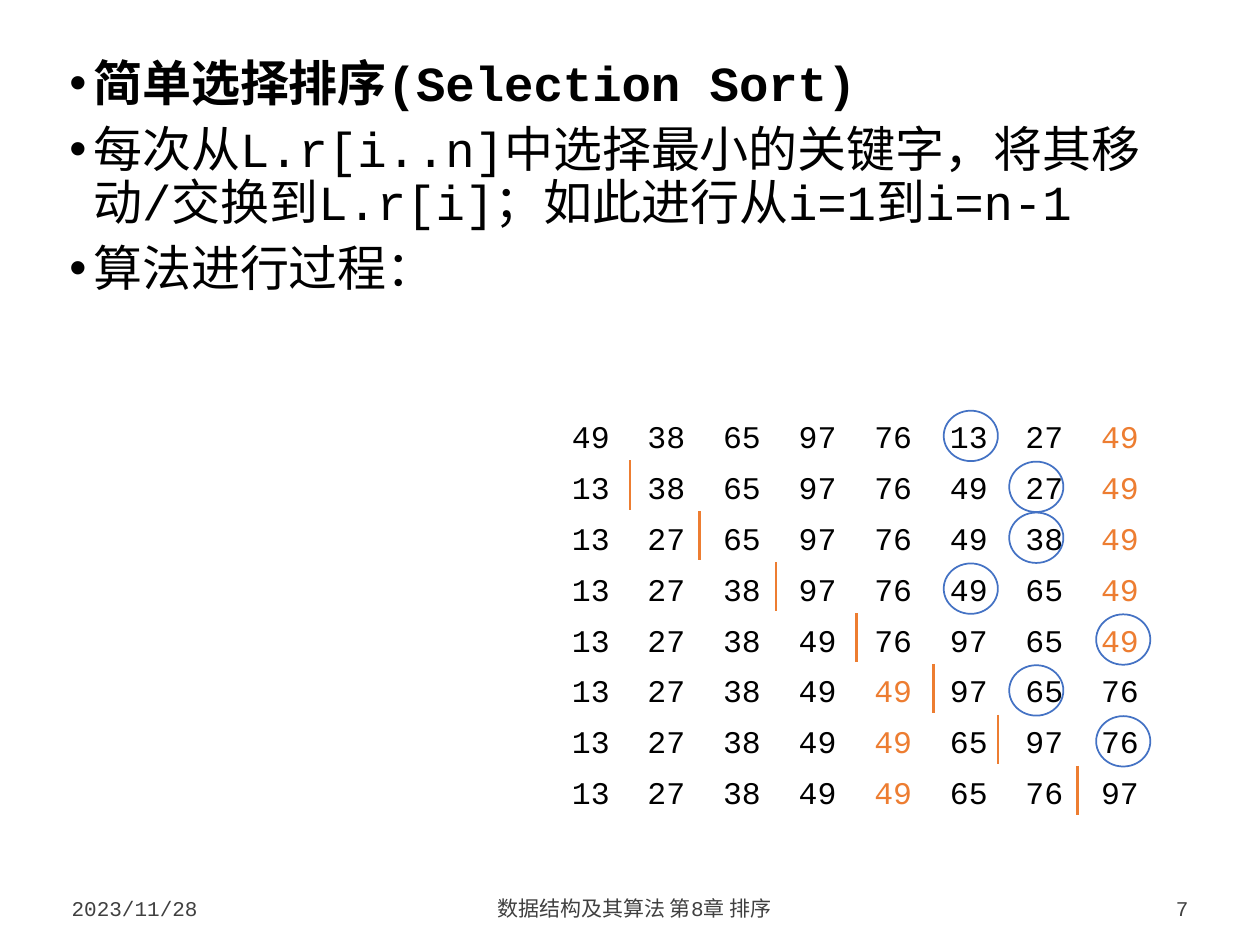
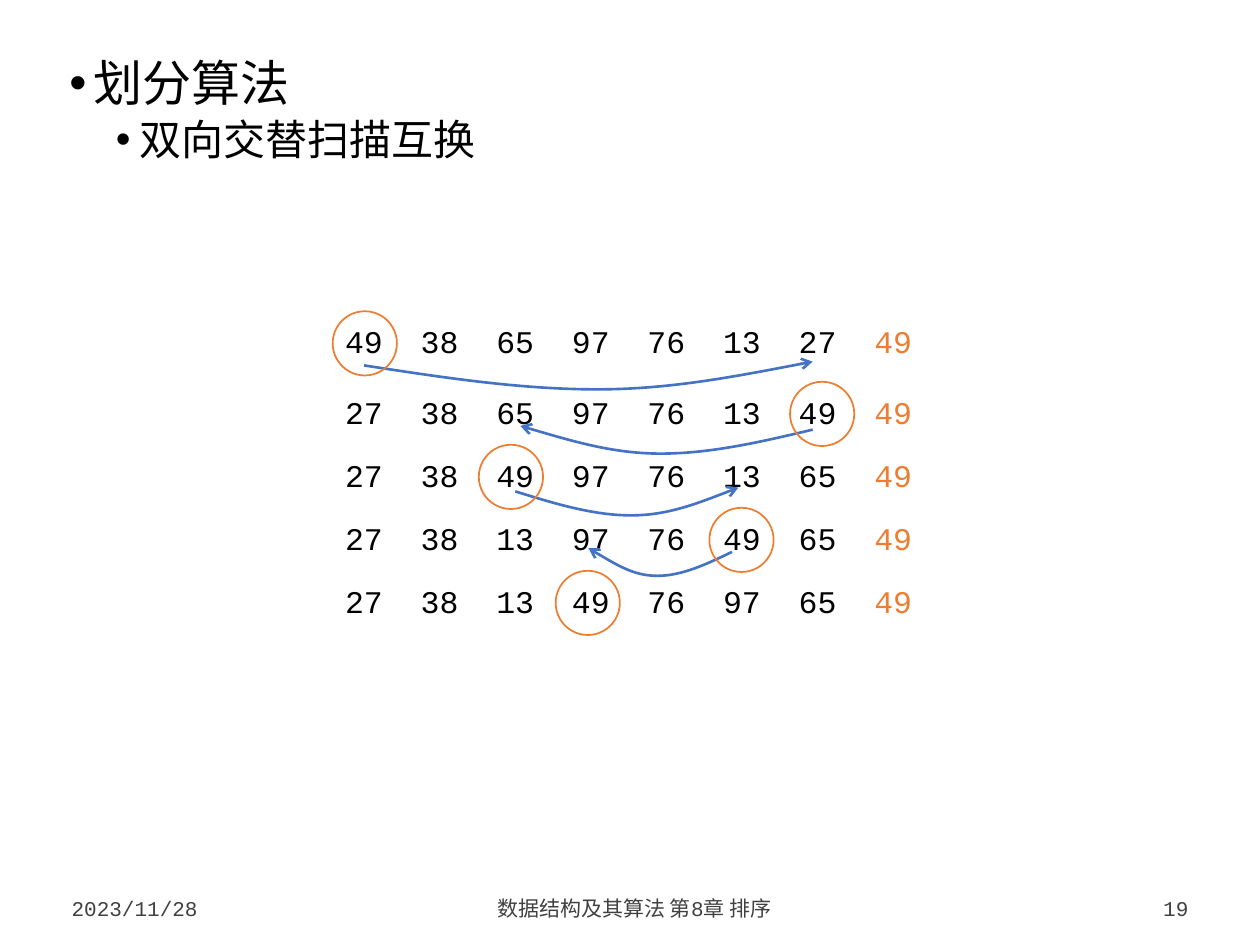
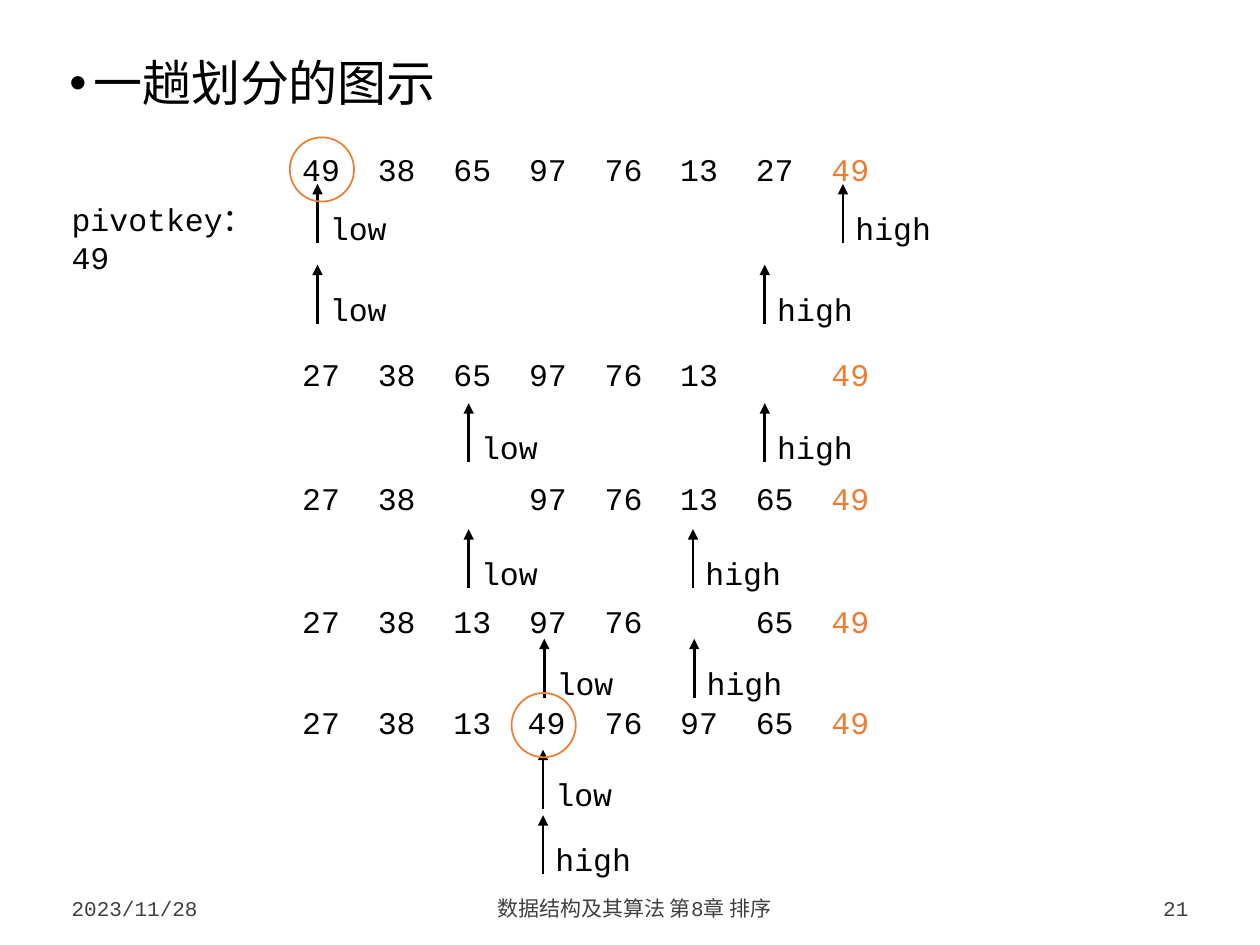
from dataclasses import dataclass

from lxml import etree
from pptx import Presentation
from pptx import util as u
from pptx.dml import color
from pptx.enum import shapes, text
from pptx.oxml import ns


@dataclass(frozen=True)
class Theme:
    font: str = "Courier New"
    black: color.RGBColor = color.RGBColor(0, 0, 0)
    gray: color.RGBColor = color.RGBColor(0x40, 0x40, 0x40)
    blue: color.RGBColor = color.RGBColor(0x44, 0x72, 0xC4)
    orange: color.RGBColor = color.RGBColor(0xED, 0x7D, 0x31)
    body_sizes: tuple = (28, 24)
    body_gaps: tuple = (7.5, 3.8)
    number_size: int = 18
    footer_size: int = 12
    stroke: float = 1.5
    ring_stroke: float = 1


THEME = Theme()
MARGIN = 0.47
BODY_WIDTH = 9.06
COLUMN = 0.6
ROW_WIDTH = 4.72
LINE_HEIGHT = 0.4
RING = 0.51
LAST = 7


def place(shape, left, top, width, height):
    shape.left, shape.top = u.Inches(left), u.Inches(top)
    shape.width, shape.height = u.Inches(width), u.Inches(height)


def style_font(font, size, rgb=THEME.black, bold=False):
    font.name = THEME.font
    font.size = u.Pt(size)
    font.bold = bold
    font.color.rgb = rgb


def add_child(parent, tag, **attributes):
    return etree.SubElement(parent, ns.qn(tag), attributes)


def add_body(slide, items):
    body = slide.placeholders[1]
    place(body, MARGIN, 0.39, BODY_WIDTH, 6.42)
    frame = body.text_frame
    frame.auto_size = text.MSO_AUTO_SIZE.NONE
    frame.vertical_anchor = text.MSO_ANCHOR.TOP
    frame.margin_left = frame.margin_right = u.Inches(0.08)
    frame.margin_top = frame.margin_bottom = u.Inches(0.08)
    frame.text = "\n".join(words for words, level, bold in items)
    for index, (paragraph, (words, level, bold)) in enumerate(zip(frame.paragraphs, items)):
        paragraph.level = level
        properties = paragraph._p.get_or_add_pPr()
        properties.set("marL", str(u.Inches(0.19 + 0.37 * level)))
        properties.set("indent", str(u.Inches(-0.19)))
        add_child(properties, "a:buFont", typeface="Arial")
        add_child(properties, "a:buChar", char="•")
        paragraph.line_spacing = 0.9
        paragraph.space_before = u.Pt(THEME.body_gaps[level] if index else 0)
        for run in paragraph.runs:
            style_font(run.font, THEME.body_sizes[level], bold=bold)


def add_text(canvas, words, left, top, width, height=LINE_HEIGHT, size=THEME.number_size,
             rgb=THEME.black, wrap=False):
    box = canvas.add_textbox(u.Inches(left), u.Inches(top), u.Inches(width), u.Inches(height))
    frame = box.text_frame
    frame.word_wrap = wrap
    frame.text = words
    for run in frame.paragraphs[0].runs:
        style_font(run.font, size, rgb)
    return frame


def add_footer(slide, number):
    parts = (
        ("2023/11/28", MARGIN, 1.25, text.PP_ALIGN.LEFT),
        ("数据结构及其算法 第8章 排序", 1.84, 6.39, text.PP_ALIGN.CENTER),
        (str(number), 8.35, 1.18, text.PP_ALIGN.RIGHT),
    )
    for words, left, width, alignment in parts:
        frame = add_text(slide.shapes, words, left, 6.97, width, 0.39,
                         THEME.footer_size, THEME.gray, wrap=True)
        frame.vertical_anchor = text.MSO_ANCHOR.BOTTOM
        frame.paragraphs[0].alignment = alignment


def add_number_row(canvas, numbers, left, top, accent=LAST):
    frame = add_text(canvas, "", left, top, ROW_WIDTH, wrap=True)
    paragraph = frame.paragraphs[0]
    tabs = add_child(paragraph._p.get_or_add_pPr(), "a:tabLst")
    for column in range(1, len(numbers)):
        add_child(tabs, "a:tab", pos=str(u.Inches(COLUMN * column)), algn="l")
    pieces = (
        ("\t".join(numbers[:accent]) + "\t", THEME.black),
        (numbers[accent], THEME.orange),
        ("".join("\t" + number for number in numbers[accent + 1:]), THEME.black),
    )
    for words, rgb in pieces:
        if words:
            run = paragraph.add_run()
            run.text = words
            style_font(run.font, THEME.number_size, rgb)


def add_ring(canvas, left, top, width=RING, height=RING, rgb=THEME.orange):
    ring = canvas.add_shape(shapes.MSO_SHAPE.OVAL, u.Inches(left), u.Inches(top),
                            u.Inches(width), u.Inches(height))
    ring.shadow.inherit = False
    ring.fill.background()
    ring.line.color.rgb = rgb
    ring.line.width = u.Pt(THEME.ring_stroke)


def style_line(shape, rgb, head=None):
    shape.line.color.rgb = rgb
    shape.line.width = u.Pt(THEME.stroke)
    if head:
        add_child(shape._element.spPr.find(ns.qn("a:ln")), "a:tailEnd", type=head)


def add_line(canvas, x, start, end, rgb, head=None):
    line = canvas.add_connector(shapes.MSO_CONNECTOR.STRAIGHT, u.Inches(x), u.Inches(start),
                                u.Inches(x), u.Inches(end))
    style_line(line, rgb, head)
    add_child(line._element.spPr, "a:effectLst")


def add_swap_curve(canvas, start, end, top):
    middle = start + 0.52 * (end - start)
    bottom, finish = top + 0.19, top - 0.03
    points = []
    for x0, y0, x1, y1 in ((start, top, middle, bottom), (middle, bottom, end, finish)):
        halfway = (y0 + y1) / 2
        first, second = (halfway, bottom) if y1 == bottom else (bottom, halfway)
        third = (x1 - x0) / 3
        points += [(x0 + third, first), (x0 + 2 * third, second), (x1, y1)]
    builder = canvas.build_freeform(u.Inches(start), u.Inches(top))
    builder.add_line_segments([(u.Inches(x), u.Inches(y)) for x, y in points], close=False)
    curve = builder.convert_to_shape()
    segments = list(curve._element.iter(ns.qn("a:lnTo")))
    for index in range(0, len(segments), 3):
        triple = segments[index:index + 3]
        bezier = etree.Element(ns.qn("a:cubicBezTo"))
        triple[0].addprevious(bezier)
        for segment in triple:
            bezier.append(segment[0])
            segment.getparent().remove(segment)
    curve.shadow.inherit = False
    curve.fill.background()
    style_line(curve, THEME.blue, "arrow")


def add_pointer(canvas, name, x, top):
    add_line(canvas, x, top + 0.47, top, THEME.black, "triangle")
    add_text(canvas, name, x, top + 0.15, 0.2 + 0.15 * len(name) + 0.01)


def start_slide(presentation, number, items):
    slide = presentation.slides.add_slide(presentation.slide_layouts[1])
    title = slide.shapes.title._element
    title.getparent().remove(title)
    add_body(slide, items)
    add_footer(slide, number)
    return slide


def build_selection_sort(presentation):
    slide = start_slide(presentation, 7, (
        ("简单选择排序(Selection Sort)", 0, True),
        ("每次从L.r[i..n]中选择最小的关键字，将其移动/交换到L.r[i]；如此进行从i=1到i=n-1", 0, False),
        ("算法进行过程：", 0, False),
    ))
    passes = (
        ("49 38 65 97 76 13 27 49", LAST),
        ("13 38 65 97 76 49 27 49", LAST),
        ("13 27 65 97 76 49 38 49", LAST),
        ("13 27 38 97 76 49 65 49", LAST),
        ("13 27 38 49 76 97 65 49", LAST),
        ("13 27 38 49 49 97 65 76", 4),
        ("13 27 38 49 49 65 97 76", 4),
        ("13 27 38 49 49 65 76 97", 4),
    )
    tops = [3.26 + 0.404 * row for row in range(len(passes))]
    for (numbers, accent), top in zip(passes, tops):
        add_number_row(slide.shapes, numbers.split(), 4.44, top, accent)
    ring_lefts = {5: 7.49, 6: 8.01, 7: 8.7}
    for column, top in zip((5, 6, 6, 5, 7, 6, 7), tops):
        add_ring(slide.shapes, ring_lefts[column], top, 0.43, 0.4, THEME.blue)
    for x, top in zip((5, 5.55, 6.16, 6.8, 7.41, 7.92, 8.55), tops[1:]):
        add_line(slide.shapes, x, top - 0.01, top + 0.38, THEME.orange)


def build_partition(presentation):
    slide = start_slide(presentation, 19, (
        ("划分算法", 0, False),
        ("双向交替扫描互换", 1, False),
    ))
    canvas = slide.shapes.add_group_shape().shapes
    steps = (
        ("49 38 65 97 76 13 27 49", 2.51, 2.64),
        ("27 38 65 97 76 13 49 49", 3.07, 6.27),
        ("27 38 49 97 76 13 65 49", 3.57, 3.8),
        ("27 38 13 97 76 49 65 49", 4.07, 5.63),
        ("27 38 13 49 76 97 65 49", 4.57, 4.41),
    )
    for numbers, top, ring_left in steps:
        add_number_row(canvas, numbers.split(), 2.64, top)
    swaps = ((2.89, 6.45, 2.9), (6.45, 4.13, 3.41), (4.09, 5.86, 3.9), (5.81, 4.67, 4.38))
    for start, end, top in swaps:
        add_swap_curve(canvas, start, end, top)
    for numbers, top, ring_left in steps:
        add_ring(canvas, ring_left, top - 0.04)


def build_partition_trace(presentation):
    slide = start_slide(presentation, 21, (("一趟划分的图示", 0, False),))
    canvas = slide.shapes
    rows = (
        ("49,38,65,97,76,13,27,49", 1.14),
        ("27,38,65,97,76,13,,49", 2.77),
        ("27,38,,97,76,13,65,49", 3.75),
        ("27,38,13,97,76,,65,49", 4.73),
        ("27,38,13,,76,97,65,49", 5.53),
    )
    for numbers, top in rows:
        add_number_row(canvas, numbers.split(","), 2.3, top)
    pointer_pairs = (
        (2.52, 1.46, 6.69, 1.46),
        (2.52, 2.1, 6.07, 2.1),
        (3.72, 3.2, 6.07, 3.2),
        (3.72, 4.2, 5.5, 4.2),
        (4.32, 5.07, 5.51, 5.07),
        (4.31, 5.95, 4.31, 6.47),
    )
    for low_x, low_top, high_x, high_top in pointer_pairs:
        add_pointer(canvas, "low", low_x, low_top)
        add_pointer(canvas, "high", high_x, high_top)
    add_text(canvas, "pivotkey：49", MARGIN, 1.54, 1.9, wrap=True)
    add_text(canvas, "49", 4.09, 5.53, 0.5)
    add_ring(canvas, 2.3, 1.09)
    add_ring(canvas, 4.06, 5.5)


def main():
    presentation = Presentation()
    presentation.slide_width = u.Inches(10)
    presentation.slide_height = u.Inches(7.5)
    build_selection_sort(presentation)
    build_partition(presentation)
    build_partition_trace(presentation)
    presentation.save("out.pptx")


if __name__ == "__main__":
    main()
